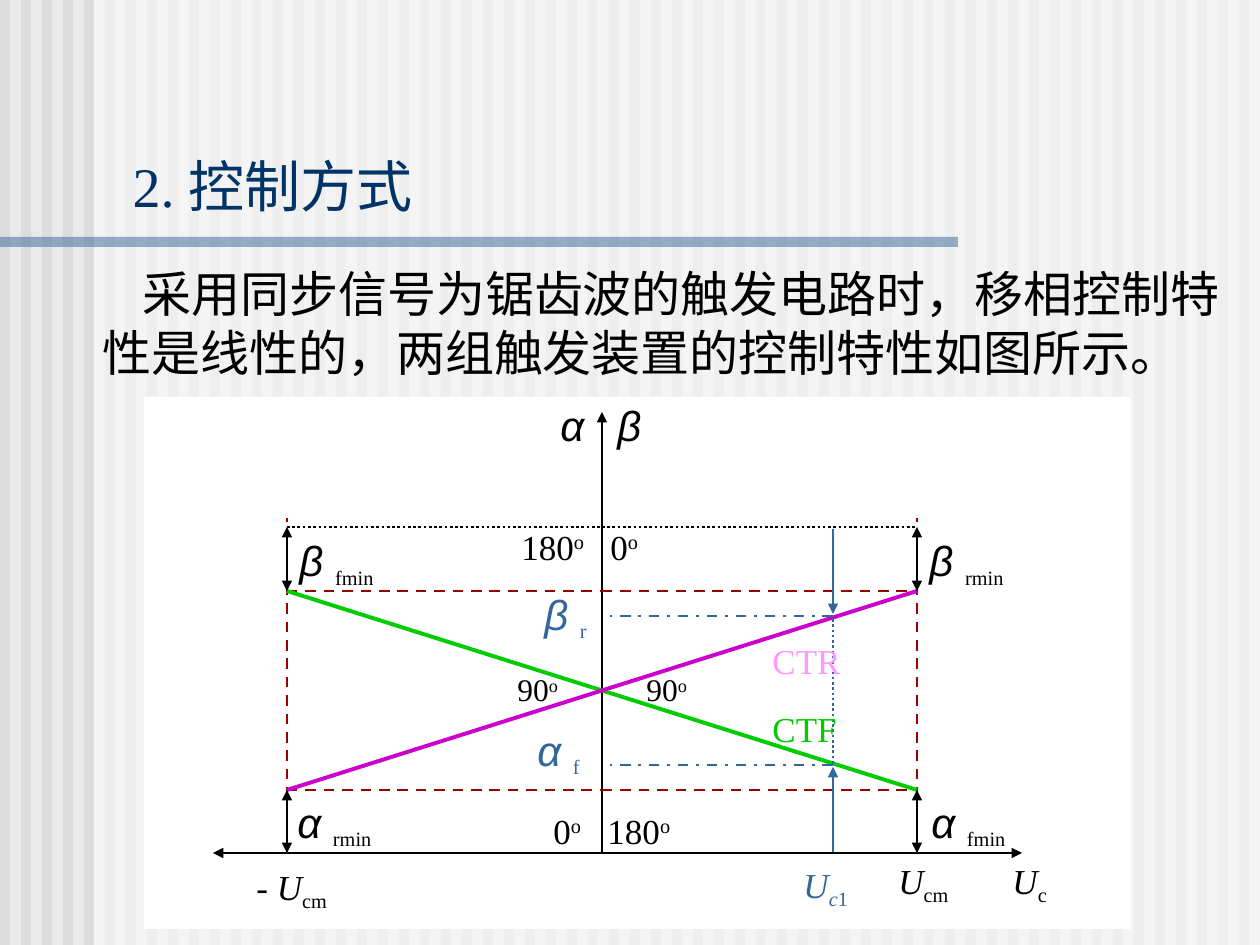
from lxml.etree import SubElement
from pptx import Presentation
from pptx.dml.color import RGBColor
from pptx.enum.dml import MSO_LINE_DASH_STYLE as Dash
from pptx.enum.shapes import MSO_CONNECTOR, MSO_SHAPE
from pptx.enum.text import MSO_ANCHOR, MSO_AUTO_SIZE, PP_ALIGN
from pptx.oxml.ns import qn
from pptx.util import Emu, Pt

PX_PER_INCH = 126
WIDTH, HEIGHT = 1260, 945
COLORS = {
    "background": "EAEAEA", "stripe": "DDDDDD", "white": "FFFFFF",
    "title": "003366", "black": "000000", "blue": "336699",
    "limit": "9A0000", "forward": "00CC00", "reverse": "CC00CC",
    "reverse_label": "FF99FF",
}
SERIF, SANS = "Times New Roman", "Arial"
RUN_STYLES = {
    "symbol": (SANS, True, 0),
    "plain": (SERIF, False, 0),
    "variable": (SERIF, True, 0),
    "sub": (SERIF, False, -25000),
    "sub_variable": (SERIF, True, -25000),
    "super": (SERIF, False, 30000),
}
SYMBOL_SIZE = 24


def px(value):
    return Emu(round(value * 914400 / PX_PER_INCH))


def rgb(name):
    return RGBColor.from_string(COLORS[name])


class SlideBuilder:
    def __init__(self, presentation):
        self.slide = presentation.slides.add_slide(presentation.slide_layouts[1])
        self.shapes = self.slide.shapes
        self.slide.background.fill.solid()
        self.slide.background.fill.fore_color.rgb = rgb("background")

    def start_group(self):
        self.shapes = self.slide.shapes.add_group_shape().shapes

    def end_group(self):
        self.shapes = self.slide.shapes

    def rectangle(self, left, top, width, height, color, opacity=100):
        shape = self.shapes.add_shape(
            MSO_SHAPE.RECTANGLE, px(left), px(top), px(width), px(height))
        shape.shadow.inherit = False
        shape.fill.solid()
        shape.fill.fore_color.rgb = rgb(color)
        shape.line.fill.background()
        if opacity < 100:
            fill_color = next(shape.element.spPr.iter(qn("a:srgbClr")))
            SubElement(fill_color, qn("a:alpha"), val=str(opacity * 1000))

    def line(self, start, end, color, width, dash=None, head=False, tail=False):
        connector = self.shapes.add_connector(
            MSO_CONNECTOR.STRAIGHT, *map(px, (*start, *end)))
        connector.line.color.rgb = rgb(color)
        connector.line.width = Pt(width)
        if dash:
            connector.line.dash_style = dash
        properties = connector.element.spPr
        outline = properties.find(qn("a:ln"))
        for tag, wanted in (("a:headEnd", head), ("a:tailEnd", tail)):
            if wanted:
                SubElement(outline, qn(tag), type="triangle")
        SubElement(properties, qn("a:effectLst"))

    def placeholder(self, index, box, text, size, color):
        shape = self.slide.placeholders[index]
        shape.element.getparent().append(shape.element)
        shape.left, shape.top, shape.width, shape.height = map(px, box)
        frame = shape.text_frame
        frame.text = text
        frame.word_wrap = True
        frame.auto_size = MSO_AUTO_SIZE.NONE
        paragraph = frame.paragraphs[0]
        paragraph.alignment = PP_ALIGN.LEFT
        paragraph.space_before = Pt(0)
        font = paragraph.runs[0].font
        font.name, font.size, font.color.rgb = SERIF, Pt(size), rgb(color)
        return shape

    def title(self, box, text):
        shape = self.placeholder(0, box, text, 32, "title")
        shape.text_frame.vertical_anchor = MSO_ANCHOR.BOTTOM

    def body(self, box, text, margin, indent):
        shape = self.placeholder(1, box, text, 28, "black")
        properties = next(shape.element.iter(qn("a:pPr")))
        properties.set("marL", str(px(margin)))
        properties.set("indent", str(px(indent)))
        SubElement(properties, qn("a:buNone"))

    def label(self, left, top, width, height, runs, color="black", size=20, tab=None):
        shape = self.shapes.add_textbox(px(left), px(top), px(width), px(height))
        shape.text_frame.word_wrap = True
        paragraph = shape.text_frame.paragraphs[0]
        if tab:
            properties = next(shape.element.iter(qn("a:p"))).get_or_add_pPr()
            tabs = SubElement(properties, qn("a:tabLst"))
            SubElement(tabs, qn("a:tab"), pos=str(px(tab)), algn="l")
        for text, style in runs:
            name, italic, _ = RUN_STYLES[style]
            run = paragraph.add_run()
            run.text = text
            font = run.font
            font.name, font.italic, font.color.rgb = name, italic, rgb(color)
            font.size = Pt(SYMBOL_SIZE if style == "symbol" else size)
        for (_, style), properties in zip(runs, shape.element.iter(qn("a:rPr"))):
            baseline = RUN_STYLES[style][2]
            if baseline:
                properties.set("baseline", str(baseline))


def draw_backdrop(builder):
    builder.start_group()
    for left in range(0, WIDTH, 21):
        builder.rectangle(left, 0, 10, HEIGHT, "stripe")
    builder.rectangle(94, 0, WIDTH - 94, HEIGHT, "white", 50)
    builder.rectangle(0, 237, 958, 10, "blue", 50)
    builder.end_group()


def draw_characteristic(builder):
    left, center, right = 287, 602, 917
    top, upper, lower, axis = 527, 591, 790, 853
    control, beta_r, alpha_f = 833, 616, 765

    builder.start_group()
    builder.line((213, axis), (1022, axis), "black", 1, head=True, tail=True)
    builder.line((center, axis), (center, 412), "black", 1, tail=True)
    for y, color, dash in ((lower, "limit", Dash.DASH), (upper, "limit", Dash.DASH),
                           (top, "black", Dash.ROUND_DOT)):
        for start, end in ((left, center), (center, right)):
            builder.line((start, y), (end, y), color, 1.5, dash)
    for x in (left, right):
        builder.line((x, axis), (x, 518), "limit", 1.5, Dash.DASH)
    builder.line((left, upper), (right, lower), "forward", 2.25)
    builder.line((left, lower), (right, upper), "reverse", 2.25)
    for x in (left, right):
        for start, end in ((top, upper), (lower, axis)):
            builder.line((x, start), (x, end), "black", 1, head=True, tail=True)
    builder.line((control, 529), (control, 614), "blue", 1.5, tail=True)
    builder.line((control, 619), (control, 766), "blue", 1.5, Dash.ROUND_DOT)
    builder.line((control, 852), (control, 767), "blue", 1.5, tail=True)
    for y in (alpha_f, beta_r):
        builder.line((control, y), (center, y), "blue", 1.5, Dash.DASH_DOT)

    builder.label(548, 393, 126, 113, [("α", "symbol"), ("\tβ", "symbol")], tab=57)
    for x, y, symbol, subscript, color in (
            (285, 790, "α ", "rmin", "black"), (287, 528, "β ", "fmin", "black"),
            (919, 790, "α ", "fmin", "black"), (917, 528, "β ", "rmin", "black"),
            (532, 582, "β ", "r", "blue"), (525, 718, "α ", "f", "blue")):
        builder.label(x, y, 136, 68, [(symbol, "symbol"), (subscript, "sub")], color)
    for x, y, first, second, tab in ((509, 519, "180", "0", 89), (541, 803, "0", "180", 54)):
        builder.label(x, y, 210, 55, [(first, "plain"), ("o", "super"),
                                      (f"\t{second}", "plain"), ("o", "super")], tab=tab)
    for x in (505, 634):
        builder.label(x, 664, 73, 50, [("90", "plain"), ("o", "super")], size=18)
    for x, y, width, variable, subscript in (
            (244, 859, 179, "- U", "cm"), (886, 853, 179, "U", "cm"), (1000, 853, 84, "U", "c")):
        builder.label(x, y, width, 60, [(variable, "variable"), (subscript, "sub")])
    builder.label(791, 857, 84, 60,
                  [("U", "variable"), ("c", "sub_variable"), ("1", "sub")], "blue")
    for y, text, color in ((633, "CTR", "reverse_label"), (701, "CTF", "forward")):
        builder.label(760, y, 95, 55, [(text, "plain")], color)
    builder.end_group()


def main():
    presentation = Presentation()
    presentation.slide_width, presentation.slide_height = px(WIDTH), px(HEIGHT)
    builder = SlideBuilder(presentation)
    draw_backdrop(builder)
    builder.rectangle(144, 397, 987, 532, "white")
    builder.title((120, 144, 1125, 81), "2. 控制方式")
    builder.body((42, 257, 1207, 189),
                 "采用同步信号为锯齿波的触发电路时，移相控制特性是线性的，"
                 "两组触发装置的控制特性如图所示。", margin=48, indent=40)
    draw_characteristic(builder)
    presentation.save("out.pptx")


if __name__ == "__main__":
    main()
